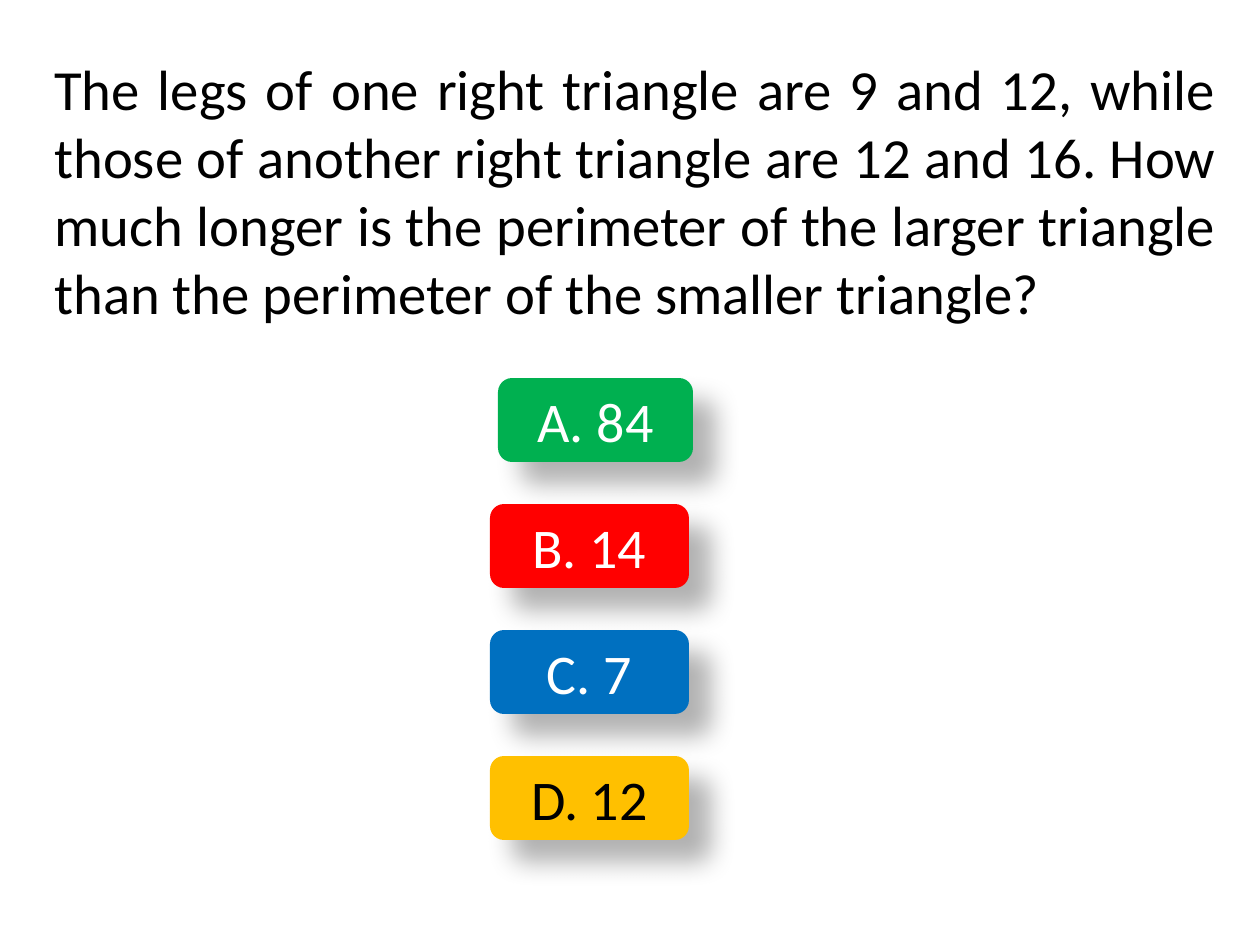
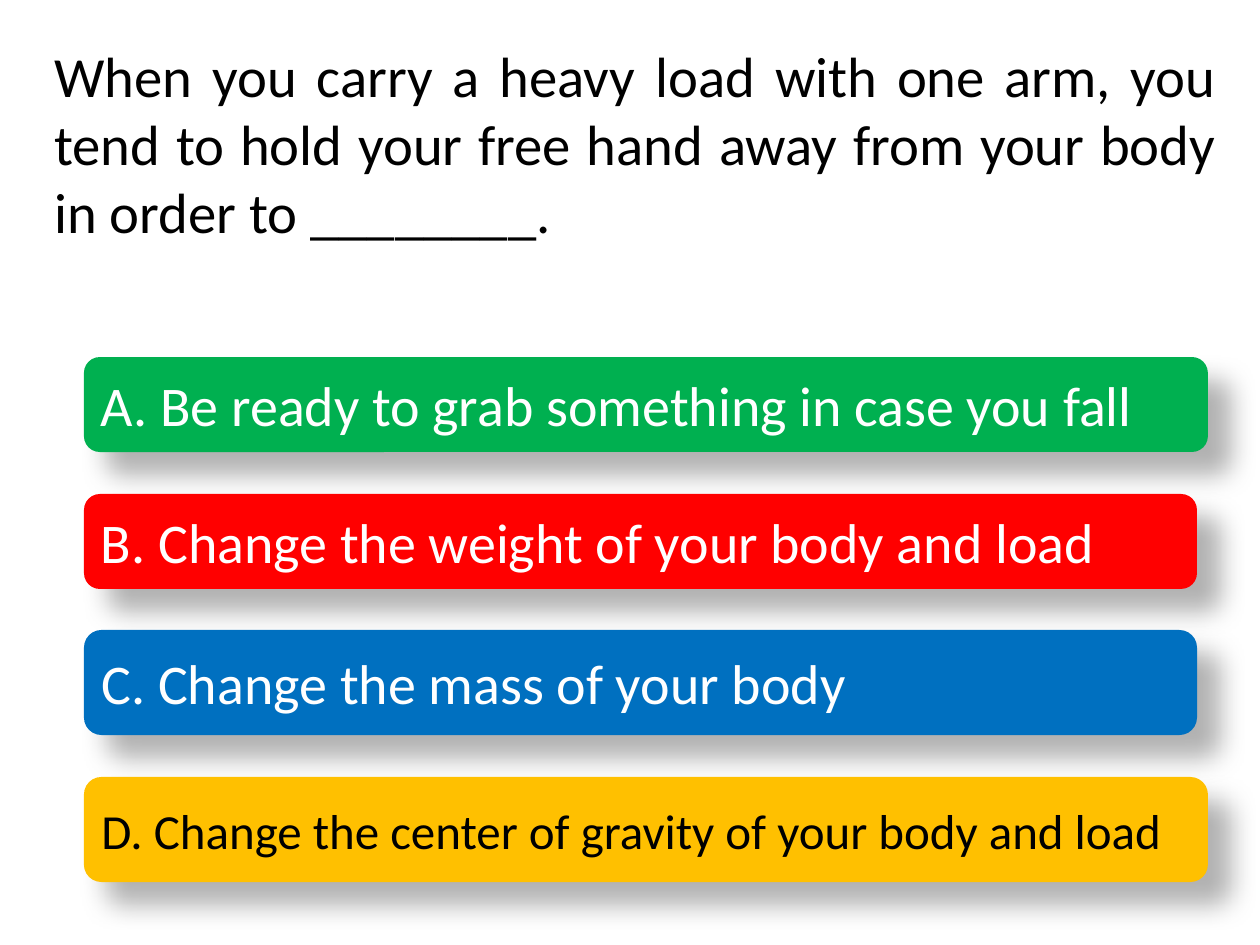
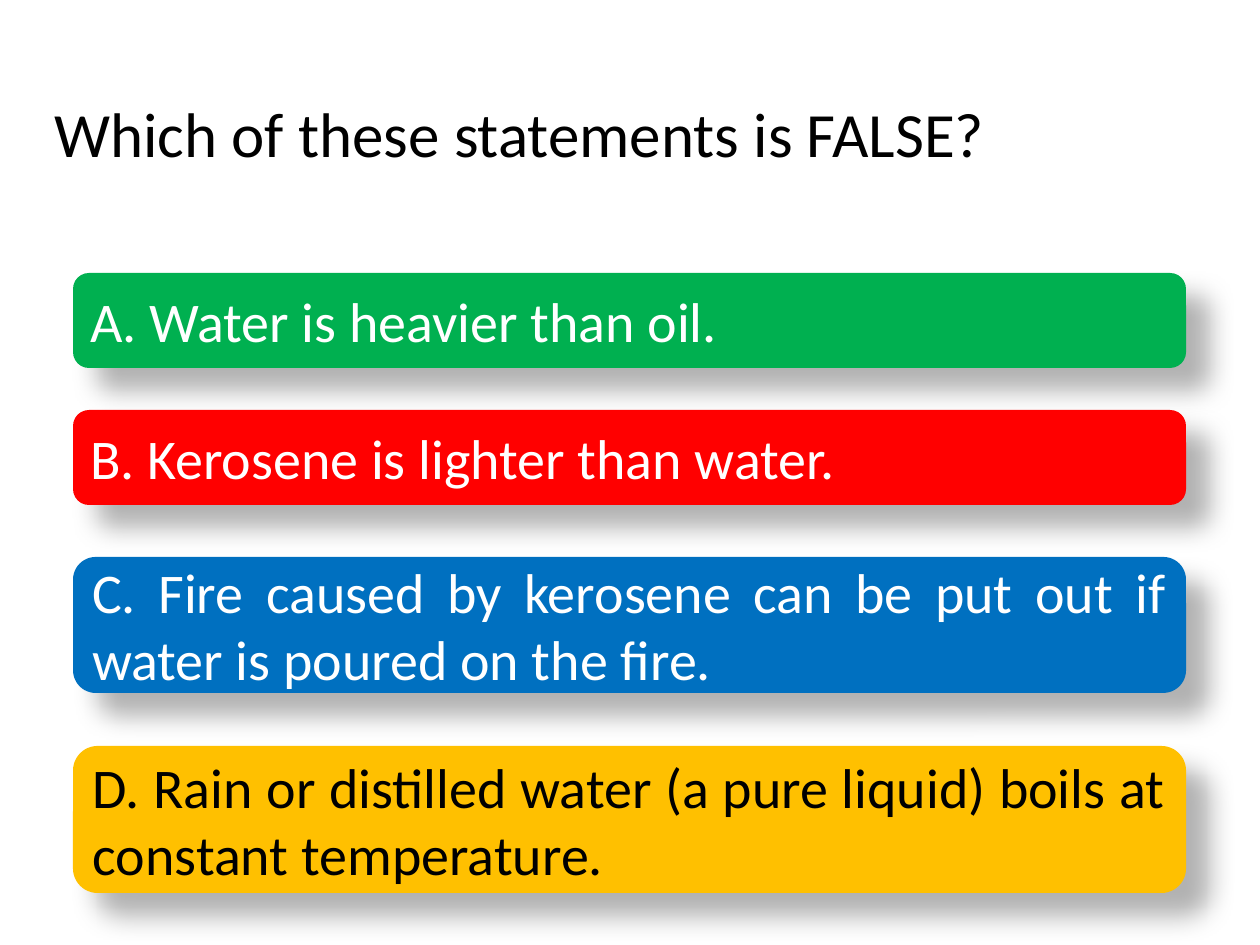
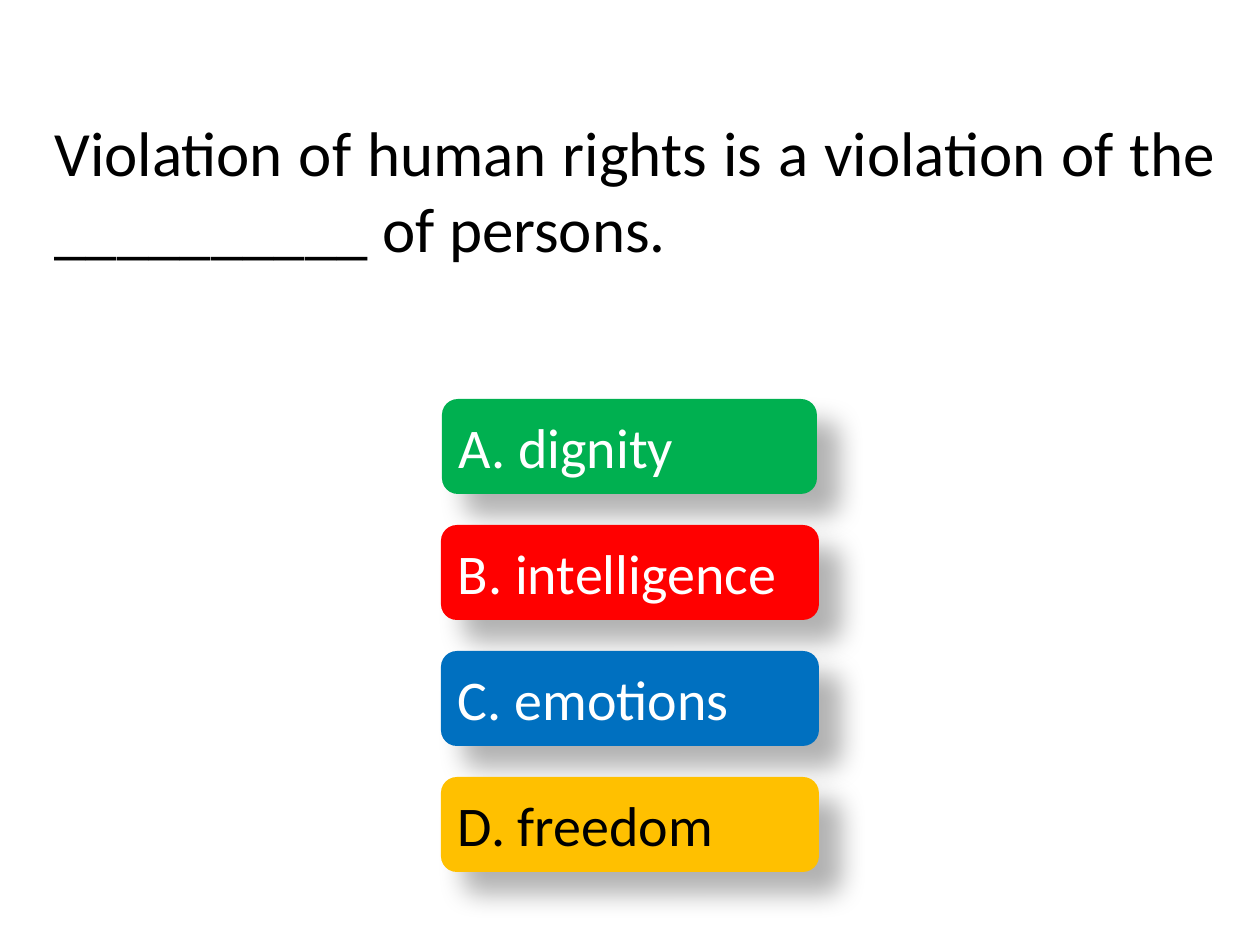
from lxml import etree
from pptx import Presentation
from pptx import util as u
from pptx.dml.color import RGBColor
from pptx.enum import shapes, text
from pptx.oxml.ns import qn

EMU_PER_PX = 914400 / 126
FONT = "Calibri"
BLACK, WHITE = "000000", "FFFFFF"
CHOICE_COLORS = [("00B050", WHITE), ("FF0000", WHITE), ("0070C0", WHITE), ("FFC000", BLACK)]
SHADOW = {"blurRad": u.Pt(15), "dist": u.Pt(18), "dir": 45 * 60000}
SHADOW_ALPHA = 30 * 1000
QUESTION_LEFT, QUESTION_TOP, QUESTION_WIDTH = 42, 53, 1187
JUSTIFY, CENTER = text.PP_ALIGN.JUSTIFY, text.PP_ALIGN.CENTER


def px(n):
    return u.Emu(round(n * EMU_PER_PX))


def rgb(color):
    return RGBColor.from_string(color)


def write(sp, content, size=32, color=BLACK, align=JUSTIFY):
    tf = sp.text_frame
    tf.word_wrap = True
    tf.vertical_anchor = text.MSO_ANCHOR.MIDDLE
    p = tf.paragraphs[0]
    p.alignment = align
    r = p.add_run()
    r.text = content
    r.font.name = FONT
    r.font.size = u.Pt(size)
    r.font.color.rgb = rgb(color)


def add_soft_shadow(sp):
    sp.shadow.inherit = False
    effects = sp._element.spPr.find(qn("a:effectLst"))
    shadow = etree.SubElement(effects, qn("a:outerShdw"), algn="ctr", rotWithShape="0")
    for name, value in SHADOW.items():
        shadow.set(name, str(int(value)))
    color = etree.SubElement(shadow, qn("a:srgbClr"), val=BLACK)
    etree.SubElement(color, qn("a:alpha"), val=str(SHADOW_ALPHA))


def add_question(s, content, height, size):
    sp = s.shapes.add_textbox(px(QUESTION_LEFT), px(QUESTION_TOP), px(QUESTION_WIDTH), px(height))
    write(sp, content, size=size)


def add_choice(s, box, content, fill, color, **fmt):
    sp = s.shapes.add_shape(shapes.MSO_SHAPE.ROUNDED_RECTANGLE, *map(px, box))
    sp.fill.solid()
    sp.fill.fore_color.rgb = rgb(fill)
    sp.line.fill.background()
    add_soft_shadow(sp)
    write(sp, content, color=color, **fmt)


def add_quiz_slide(prs, question, height, size, boxes, choices, align=JUSTIFY, sizes=(32,) * 4):
    s = prs.slides.add_slide(prs.slide_layouts[6])
    add_question(s, question, height, size)
    for box, choice, (fill, color), pt in zip(boxes, choices, CHOICE_COLORS, sizes):
        add_choice(s, box, choice, fill, color, align=align, size=pt)


def stack(first, rest, top, height, pitch=126):
    return [(left, top + i * pitch, width, height)
            for i, (left, width) in enumerate([first] + [rest] * 3)]


def main():
    prs = Presentation()
    prs.slide_width, prs.slide_height = px(1260), px(945)

    add_quiz_slide(
        prs,
        "The legs of one right triangle are 9 and 12, while those of another right triangle "
        "are 12 and 16. How much longer is the perimeter of the larger triangle than the "
        "perimeter of the smaller triangle?",
        273, 32.4,
        stack((498, 195), (490, 199), top=378, height=84),
        ["A. 84", "B. 14", "C. 7", "D. 12"],
        align=CENTER)

    add_quiz_slide(
        prs,
        "When you carry a heavy load with one arm, you tend to hold your free hand away "
        "from your body in order to ________.",
        179, 32.4,
        [(84, 357, 1124, 95), (84, 494, 1113, 95), (84, 630, 1113, 105), (84, 777, 1124, 105)],
        ["A. Be ready to grab something in case you fall",
         "B. Change the weight of your body and load",
         "C. Change the mass of your body",
         "D. Change the center of gravity of your body and load"],
        sizes=(32, 32, 32, 28))

    add_quiz_slide(
        prs,
        "Which of these statements is FALSE?",
        158, 36,
        [(73, top, 1113, height) for top, height in [(273, 95), (410, 95), (557, 136), (746, 147)]],
        ["A. Water is heavier than oil.",
         "B. Kerosene is lighter than water.",
         "C. Fire caused by kerosene can be put out if water is poured on the fire.",
         "D. Rain or distilled water (a pure liquid) boils at constant temperature."])

    add_quiz_slide(
        prs,
        "Violation of human rights is a violation of the __________ of persons.",
        273, 36,
        stack((442, 375), (441, 378), top=399, height=95),
        ["A. dignity", "B. intelligence", "C. emotions", "D. freedom"])

    prs.save("out.pptx")


if __name__ == "__main__":
    main()
